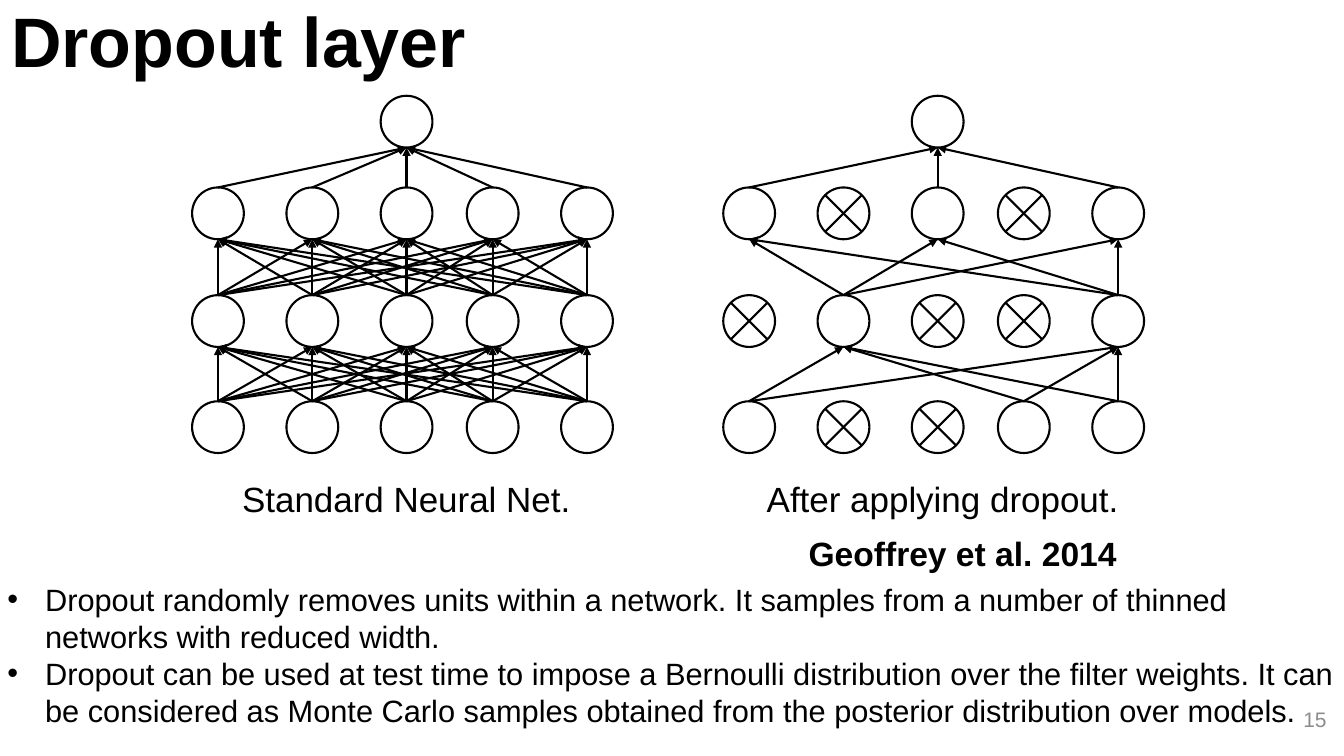
"""Build the slide that sets a standard neural net beside its dropout form."""
import itertools

import lxml.etree
import pptx
import pptx.dml.color
import pptx.enum.shapes
import pptx.enum.text
import pptx.oxml.ns
import pptx.util

Pt = pptx.util.Pt
ALIGN = pptx.enum.text.PP_ALIGN
ANCHOR = pptx.enum.text.MSO_ANCHOR
KINDS = pptx.enum.shapes

THEME = {
    "font": "Arial",
    "ink": "000000",
    "faint": "8C8C8C",
    "title": 50,
    "label": 25,
    "cite": 24,
    "body": 22,
    "page": 15,
    "line": 1.5,
}

TEXTS = [
    {"lines": ["Dropout layer"], "box": (-1.4, -7.9, 928, 72), "pad": (9.4, 9.4),
     "size": "title", "bold": True, "anchor": ANCHOR.MIDDLE},
    {"lines": [
        "Dropout randomly removes units within a network. It samples from a number "
        "of thinned networks with reduced width.",
        "Dropout can be used at test time to impose a Bernoulli distribution over the "
        "filter weights. It can be considered as Monte Carlo samples obtained from "
        "the posterior distribution over models."],
     "box": (-15.8, 411.1, 983.5, 109.4), "size": "body", "bullet": True, "pitch": 26.4},
    {"lines": ["Geoffrey et al. 2014 "], "box": (216.7, 377.3, 594.7, 31),
     "size": "cite", "bold": True, "align": ALIGN.RIGHT},
    {"lines": ["Standard Neural Net."], "box": (158.4, 334.1, 263.5, 36.7),
     "pad": (7.2, 7.2), "size": "label", "align": ALIGN.CENTER},
    {"lines": ["After applying dropout."], "box": (535, 334.1, 276.5, 36.7),
     "pad": (7.2, 7.2), "size": "label", "align": ALIGN.CENTER},
    {"lines": ["15"], "box": (897.1, 493.2, 57.6, 41), "pad": (7.2, 7.2),
     "size": "page", "color": "faint", "align": ALIGN.RIGHT, "anchor": ANCHOR.MIDDLE},
]

UNIT = 37
CROSS = 13
COLS = [0, 67.4, 134.7, 196.2, 263.6]
LAYERS = [(68.4, [2]), (133.9, range(5)), (210.8, range(5)), (286.6, range(5))]
NETS = [
    {"left": 155.7, "drops": [(), (), (), ()]},
    {"left": 535.1, "drops": [(), (1, 3), (0, 2, 3), (1, 2)]},
]


def paint(text):
    return pptx.dml.color.RGBColor.from_string(THEME[text])


def put(thing, values):
    for name, value in values.items():
        setattr(thing, name, value)


def add_node(parent, tag, **values):
    return lxml.etree.SubElement(parent, pptx.oxml.ns.qn(tag), **values)


def add_text(slide, item):
    frame = slide.shapes.add_textbox(*map(Pt, item["box"])).text_frame
    side, edge = item.get("pad", (7.2, 3.6))
    put(frame, {
        "word_wrap": True,
        "vertical_anchor": item.get("anchor", ANCHOR.TOP),
        "margin_left": Pt(side), "margin_right": Pt(side),
        "margin_top": Pt(edge), "margin_bottom": Pt(edge),
    })
    for spot, line in enumerate(item["lines"]):
        para = frame.add_paragraph() if spot else frame.paragraphs[0]
        put(para, {"alignment": item.get("align", ALIGN.LEFT)})
        if "pitch" in item:
            para.line_spacing = Pt(item["pitch"])
        if item.get("bullet"):
            props = para._p.get_or_add_pPr()
            props.set("marL", str(Pt(41)))
            props.set("indent", str(Pt(-27)))
            add_node(props, "a:buFont", typeface=THEME["font"])
            add_node(props, "a:buChar", char="•")
        run = para.add_run()
        run.text = line
        put(run.font, {"name": THEME["font"], "size": Pt(THEME[item["size"]]),
                       "bold": item.get("bold", False)})
        run.font.color.rgb = paint(item.get("color", "ink"))


def add_line(slide, start, end, arrow=False):
    line = slide.shapes.add_connector(
        KINDS.MSO_CONNECTOR.STRAIGHT, *map(Pt, (*start, *end)))
    line.line.color.rgb = paint("ink")
    line.line.width = Pt(THEME["line"])
    if arrow:
        add_node(line.line._get_or_add_ln(), "a:tailEnd", type="triangle")
    add_node(line._element.spPr, "a:effectLst")


def add_unit(slide, mid, top, dropped):
    unit = slide.shapes.add_shape(
        KINDS.MSO_SHAPE.OVAL, Pt(mid - UNIT / 2), Pt(top), Pt(UNIT), Pt(UNIT))
    unit.shadow.inherit = False
    unit.fill.background()
    unit.line.color.rgb = paint("ink")
    unit.line.width = Pt(THEME["line"])
    if dropped:
        core = top + UNIT / 2
        for slant in (CROSS, -CROSS):
            add_line(slide, (mid - CROSS, core - slant), (mid + CROSS, core + slant))


def add_net(slide, net):
    kept = []
    for (top, cols), drops in zip(LAYERS, net["drops"]):
        for col in cols:
            add_unit(slide, net["left"] + COLS[col], top, col in drops)
        kept.append((top, [net["left"] + COLS[col] for col in cols if col not in drops]))
    for (high, ends), (low, starts) in itertools.pairwise(kept):
        for start, end in itertools.product(starts, ends):
            add_line(slide, (start, low), (end, high + UNIT), arrow=True)


def main():
    deck = pptx.Presentation()
    put(deck, {"slide_width": Pt(960), "slide_height": Pt(540)})
    slide = deck.slides.add_slide(deck.slide_layouts[6])
    for net in NETS:
        add_net(slide, net)
    for item in TEXTS:
        add_text(slide, item)
    deck.save("out.pptx")


if __name__ == "__main__":
    main()
